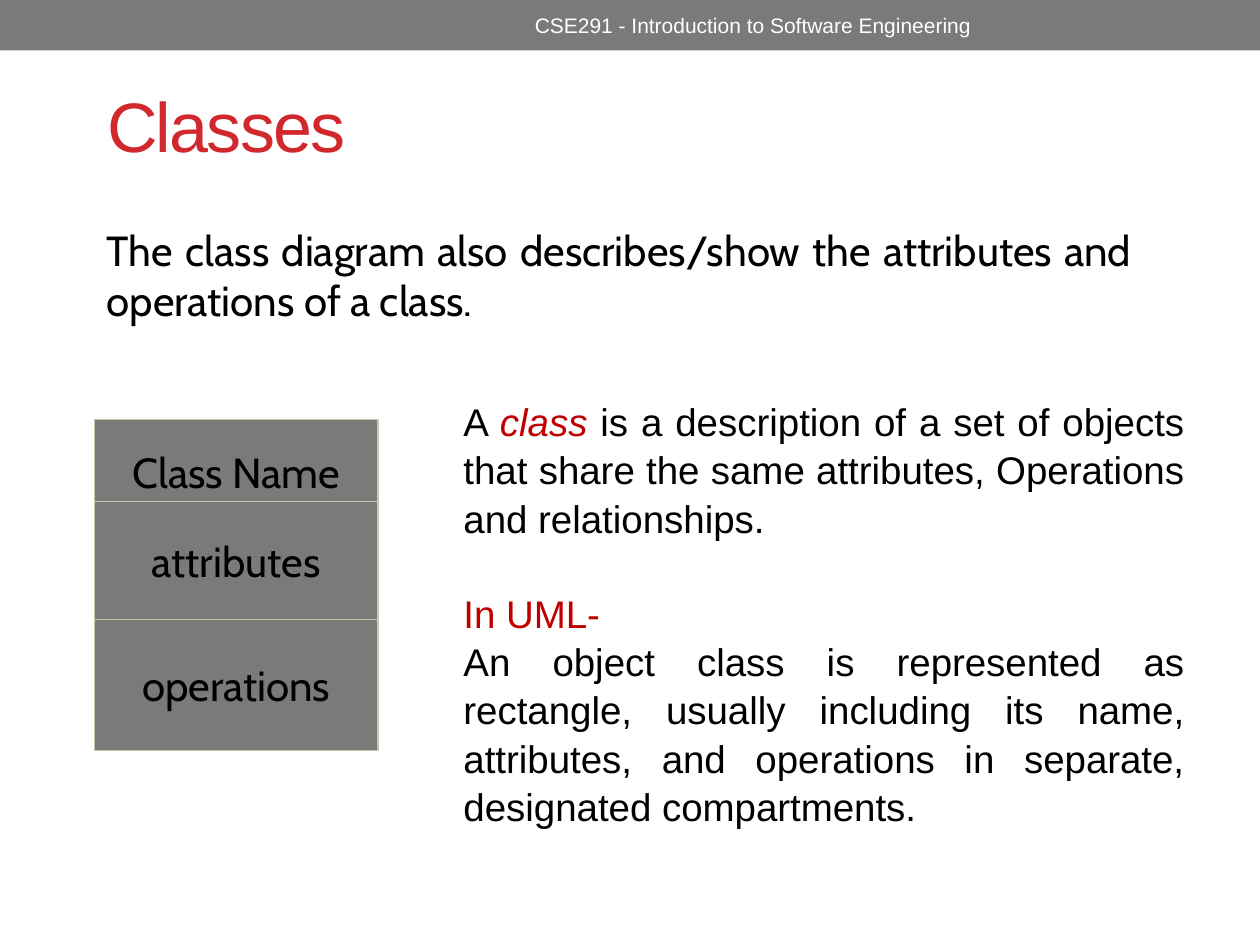
"""Build the "Classes" slide: a UML class box beside its definition."""
from pptx import Presentation
from pptx.dml.color import RGBColor
from pptx.enum.shapes import MSO_SHAPE
from pptx.enum.text import MSO_ANCHOR, PP_ALIGN
from pptx.util import Inches, Pt

RECT = MSO_SHAPE.RECTANGLE
TOP, MIDDLE = MSO_ANCHOR.TOP, MSO_ANCHOR.MIDDLE
LEFT, CENTER, JUSTIFY = PP_ALIGN.LEFT, PP_ALIGN.CENTER, PP_ALIGN.JUSTIFY
COLORS = {"title": "D1282E", "accent": "C00000", "text": "000000",
          "light": "FFFFFF", "fill": "7A7A7A", "border": "C8C8B1"}

prs = Presentation()
prs.slide_width, prs.slide_height = Inches(10), Inches(7.5)
COL, ROW = prs.slide_width / 40, prs.slide_height / 30
s = prs.slides.add_slide(prs.slide_layouts[5])


def cells(col, row, cols, rows):
    return int(col * COL), int(row * ROW), int(cols * COL), int(rows * ROW)


def write(sp, paragraphs, size, font, align, anchor=TOP, wrap=True):
    tf = sp.text_frame
    tf.word_wrap, tf.vertical_anchor = wrap, anchor
    for i, runs in enumerate(paragraphs):
        p = tf.add_paragraph() if i else tf.paragraphs[0]
        p.alignment = align
        for text, color in runs:
            r = p.add_run()
            r.text = text
            r.font.size, r.font.name = Pt(size), font
            r.font.color.rgb = RGBColor.from_string(COLORS[color])
    return tf.paragraphs


bar = s.shapes.add_shape(RECT, *cells(0, 0, 40, 1.6))
bar.shadow.inherit = False
bar.fill.solid()
bar.fill.fore_color.rgb = RGBColor.from_string(COLORS["fill"])
bar.line.fill.background()

title = s.shapes.title
title.left, title.top, title.width, title.height = cells(3, 1.68, 34.32, 4.52)
ps = write(title, [[("Classes", "title")]], 40, "Arial", LEFT, MIDDLE)
ps[0].runs[0].font._element.set("spc", "-100")

for name, row, rows in [("Class Name", 13.32, 3.32),
                        ("attributes", 15.92, 3.74),
                        ("operations", 19.66, 4.16)]:
    sp = s.shapes.add_shape(RECT, *cells(3, row, 9, rows))
    sp.shadow.inherit = False
    sp.fill.solid()
    sp.fill.fore_color.rgb = RGBColor.from_string(COLORS["fill"])
    sp.line.color.rgb = RGBColor.from_string(COLORS["border"])
    sp.line.width = Pt(0.75)
    write(sp, [[(name, "text")]], 24, "Cabin", CENTER, MIDDLE, wrap=False)

definition = s.shapes.add_textbox(*cells(14.32, 12.36, 23.68, 13.72))
ps = write(definition, [
    [("A ", "text"), ("class", "accent"),
     (" is a description of a set of objects that share the same attributes, "
      "Operations and relationships.", "text")],
    [("In UML-", "accent")],
    [("An object class is represented as rectangle, usually including its name, "
      "attributes, and operations in separate, designated compartments.", "text")],
], 22, "Arial", JUSTIFY)
ps[0].runs[1].font.italic = True
for p in ps:
    p.line_spacing = 1.05
ps[1].space_before = Pt(26.5)

intro = s.shapes.add_textbox(*cells(3, 6.92, 33.32, 5.24))
write(intro, [[("The class diagram also describes/show the attributes and "
                "operations of a class.", "text")]], 24, "Cabin", JUSTIFY)

header = s.shapes.add_textbox(*cells(15, 0.08, 18, 1.44))
write(header, [[("CSE291 - Introduction to Software Engineering ", "light")]],
      12, "Arial", CENTER, MIDDLE)

prs.save("out.pptx")
